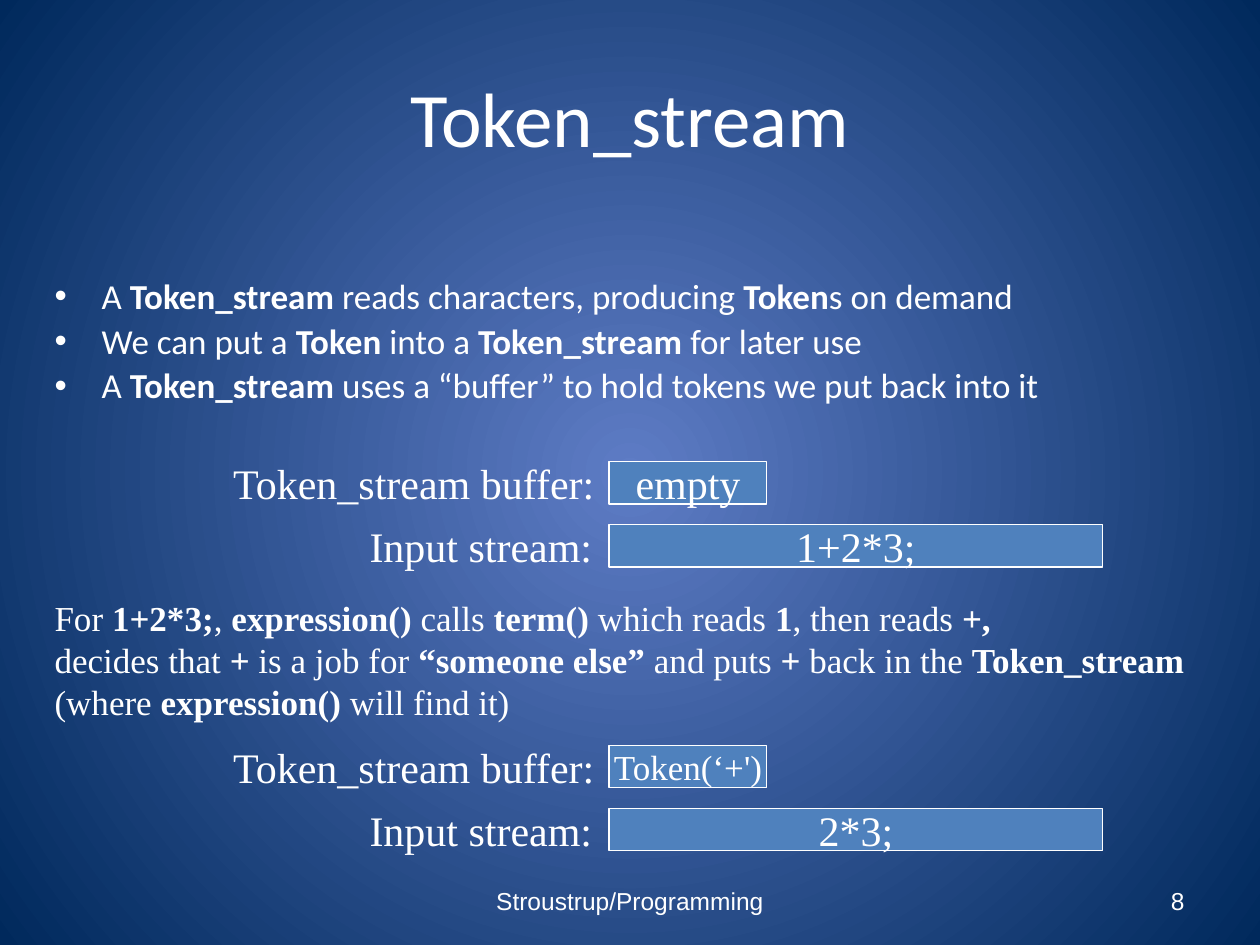
from lxml import etree
from pptx import Presentation
from pptx import util as u
from pptx.dml.color import RGBColor
from pptx.enum import shapes, text
from pptx.oxml import parse_xml
from pptx.oxml.ns import nsdecls, qn

WHITE = RGBColor(0xFF, 0xFF, 0xFF)
BOX_BLUE = RGBColor(0x4F, 0x81, 0xBD)
GLOW_BLUE = RGBColor(0x5E, 0x7C, 0xC5)
EDGE_BLUE = RGBColor(0x00, 0x29, 0x5C)
SERIF = "Times New Roman"
LEFT, CENTER, RIGHT = text.PP_ALIGN.LEFT, text.PP_ALIGN.CENTER, text.PP_ALIGN.RIGHT
TOP, MIDDLE = text.MSO_ANCHOR.TOP, text.MSO_ANCHOR.MIDDLE

presentation = Presentation()
presentation.slide_width, presentation.slide_height = u.Cm(25.4), u.Cm(19.05)
slide = presentation.slides.add_slide(presentation.slide_layouts[6])


def write(shape, *lines, font=SERIF, size=24, align=LEFT, anchor=TOP, wrap=True,
          line_spacing=None, space_before=None, hanging=None, bullet=None):
    """Write one paragraph per line; parts between bars are bold."""
    frame = shape.text_frame
    frame.word_wrap, frame.vertical_anchor = wrap, anchor
    for number, line in enumerate(lines):
        paragraph = frame.add_paragraph() if number else frame.paragraphs[0]
        paragraph.alignment = align
        if line_spacing:
            paragraph.line_spacing = line_spacing
            paragraph.space_before = u.Pt(space_before)
        if hanging:
            properties = paragraph._p.get_or_add_pPr()
            properties.set("marL", str(u.Cm(hanging)))
            properties.set("indent", str(-u.Cm(hanging)))
            if bullet:
                etree.SubElement(properties, qn("a:buFont")).set("typeface", "Arial")
                etree.SubElement(properties, qn("a:buChar")).set("char", bullet)
        for part, words in enumerate(line.split("|")):
            if words:
                run = paragraph.add_run()
                run.text = words
                run.font.name, run.font.size = font, u.Pt(size)
                run.font.bold = part % 2 == 1
                run.font.color.rgb = WHITE


def text_box(left, top, width, height):
    return slide.shapes.add_textbox(u.Cm(left), u.Cm(top), u.Cm(width), u.Cm(height))


# Background: glow from the centre
background = parse_xml(
    f'<p:bg {nsdecls("p", "a")}><p:bgPr><a:gradFill rotWithShape="1"><a:gsLst>'
    f'<a:gs pos="0"><a:srgbClr val="{GLOW_BLUE}"/></a:gs>'
    f'<a:gs pos="100000"><a:srgbClr val="{EDGE_BLUE}"/></a:gs></a:gsLst>'
    '<a:path path="circle"><a:fillToRect l="50000" t="50000" r="50000" b="50000"/></a:path>'
    '</a:gradFill><a:effectLst/></p:bgPr></p:bg>')
slide.element.cSld.insert(0, background)

# Title
write(text_box(1.27, 0.76, 22.86, 3.18), "Token_stream",
      font="Calibri", size=44, align=CENTER, anchor=MIDDLE)

# Bullets
write(text_box(0.85, 5.5, 24.55, 2.97),
      "A |Token_stream |reads characters, producing| Token|s on demand",
      "We can put a| Token| into a |Token_stream| for later use",
      "A |Token_stream |uses a “buffer” to hold tokens we put back into it",
      font="Calibri", size=20, line_spacing=0.9, space_before=4, hanging=0.95, bullet="•")

# Explanation between the two states
write(text_box(0.85, 12.07, 24.55, 2.12),
      "For |1+2*3;|,| expression()| calls |term() |which reads |1|, then reads |+,",
      "decides that |+| is a job for |“someone else”| and puts |+| back in the |Token_stream",
      "(where |expression() |will find it)",
      size=20, line_spacing=0.8, space_before=4.6, hanging=0.95)

# Stream states before and after: a buffer row and an input row each
rows = [("Token_stream buffer:", 4.45, 7.87, 3.18), ("Input stream:", 7.2, 5.0, 9.95)]
states = [(9.31, [("empty", 24), ("1+2*3;", 24)]),
          (15.03, [("Token(‘+')", 20), ("2*3;", 24)])]
for state_top, contents in states:
    for index, (label, label_left, label_width, box_width) in enumerate(rows):
        top = state_top + index * 1.27
        content, size = contents[index]
        write(text_box(label_left, top - 0.21, label_width, 1.27), label, wrap=False)
        box = slide.shapes.add_shape(shapes.MSO_SHAPE.RECTANGLE, u.Cm(12.28), u.Cm(top),
                                     u.Cm(box_width), u.Cm(0.85))
        box.shadow.inherit = False
        box.fill.solid()
        box.fill.fore_color.rgb = BOX_BLUE
        box.line.color.rgb = WHITE
        box.line.width = u.Pt(0.75)
        write(box, content, size=size, align=CENTER, anchor=MIDDLE, wrap=False)

# Footer and slide number
write(text_box(8.68, 17.65, 8.04, 1.02), "Stroustrup/Programming",
      font="Arial", size=14, align=CENTER, anchor=MIDDLE)
write(text_box(18.2, 17.65, 5.93, 1.02), "8",
      font="Arial", size=14, align=RIGHT, anchor=MIDDLE)

presentation.save("out.pptx")
